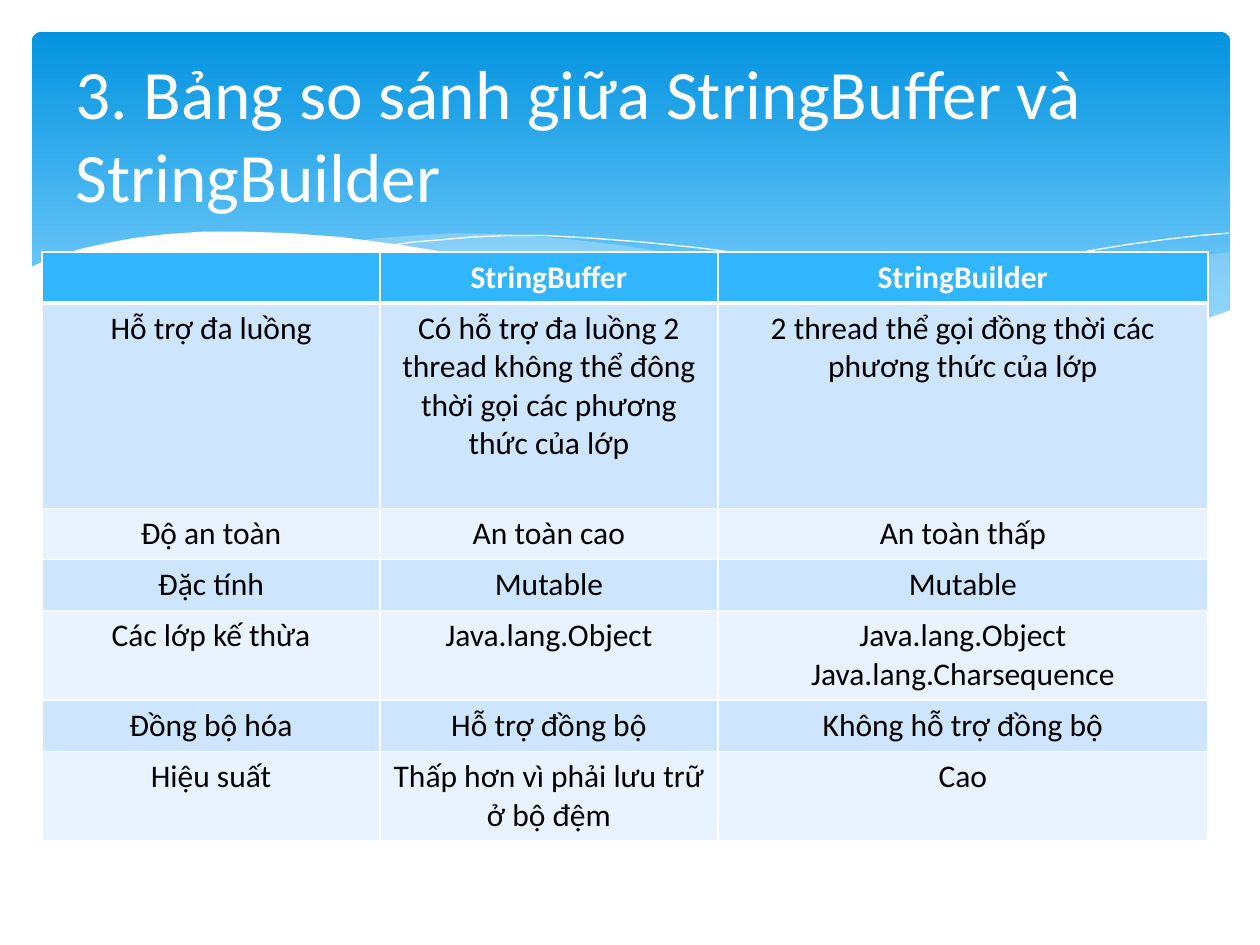
from lxml.etree import SubElement
from pptx import Presentation
from pptx.dml.color import RGBColor as Color
from pptx.enum.shapes import MSO_SHAPE as Preset
from pptx.enum.text import MSO_ANCHOR as Anchor, MSO_AUTO_SIZE as AutoSize, PP_ALIGN as Align
from pptx.oxml.ns import qn
from pptx.util import Cm, Pt

# Content
TITLE = "3. Bảng so sánh giữa StringBuffer và StringBuilder"
ROWS = [
    ("", "StringBuffer", "StringBuilder"),
    ("Hỗ trợ đa luồng",
     "Có hỗ trợ đa luồng 2 thread không thể đông thời gọi các phương thức của lớp",
     "2 thread thể gọi đồng thời các phương thức của lớp"),
    ("Độ an toàn", "An toàn cao", "An toàn thấp"),
    ("Đặc tính", "Mutable", "Mutable"),
    ("Các lớp kế thừa", "Java.lang.Object", "Java.lang.Object\nJava.lang.Charsequence"),
    ("Đồng bộ hóa", "Hỗ trợ đồng bộ", "Không hỗ trợ đồng bộ"),
    ("Hiệu suất", "Thấp hơn vì phải lưu trữ ở bộ đệm", "Cao"),
]
COLUMN_WIDTHS = (6.81, 6.81, 9.88)
ROW_HEIGHTS = (1.03, 4.14, 1.03, 1.03, 1.8, 1.03, 1.8)

THEME = {
    "font": "Calibri", "title_size": 39.6, "cell_size": 18,
    "white": "FFFFFF", "text": "000000",
    "sky_top": "0293E0", "sky_bottom": "83D3FE", "mist": "C6E7FC",
    "header": "31B6FD", "bands": ("CEE5FE", "E8F3FF"),
    "rule": 1, "header_rule": 3,
}

# Wave outlines, in hundredths of a centimetre, back to front
RIGHT_WAVE = [
    (2479, 508), (2443, 513), (2375, 526), (2301, 541), (2187, 566), (2113, 584),
    (1979, 615), (1852, 643), (1679, 673), (1755, 683), (1859, 696), (1953, 704),
    (2040, 706), (2121, 704), (2192, 699), (2258, 691), (2319, 678), (2375, 665),
    (2410, 652), (2446, 640), (2479, 627)]
MIDDLE_WAVE = [
    (2268, 693), (2126, 673), (1969, 645), (1793, 610), (1598, 564), (1519, 544),
    (1445, 528), (1374, 515), (1306, 503), (1242, 493), (1123, 480), (1013, 472),
    (917, 470), (833, 475), (759, 480), (726, 485), (820, 498), (919, 516),
    (1026, 536), (1140, 564), (1247, 589), (1346, 610), (1438, 630), (1527, 648),
    (1610, 663), (1689, 676), (1765, 686), (1834, 693), (1900, 699), (1963, 704),
    (2022, 706), (2078, 706), (2154, 704), (2225, 699)]
LEFT_CREST = [
    (785, 495), (833, 488), (894, 483), (950, 478), (1019, 475), (1100, 475),
    (1191, 480), (1295, 488), (1412, 500), (1544, 518), (1689, 541), (1847, 574),
    (2019, 612), (2111, 638), (2304, 691)]
RIGHT_CREST = [
    (1557, 653), (1659, 625), (1765, 597), (1900, 566), (2047, 533), (2200, 505),
    (2273, 493), (2347, 483), (2416, 475), (2477, 470)]
WHITE_WAVE = [
    (2482, 625), (2388, 658), (2283, 683), (2192, 696), (2055, 704), (1933, 699),
    (1798, 686), (1646, 665), (1471, 635), (1344, 607), (1207, 577), (1062, 541),
    (927, 513), (803, 493), (688, 478), (584, 470), (490, 467), (409, 467),
    (335, 472), (269, 480), (216, 490), (170, 500), (132, 511), (102, 521),
    (74, 533), (58, 541), (58, 836), (2482, 836)]
WAVES = [  # outline, fill colour (None for a crest line), opacity in percent
    (RIGHT_WAVE, "mist", 29), (MIDDLE_WAVE, "mist", 40),
    (LEFT_CREST, None, 100), (RIGHT_CREST, None, 100), (WHITE_WAVE, "white", 100),
]


def color(name):
    return Color.from_string(THEME.get(name, name))


def add_wave(page, points, fill, opacity):
    builder = page.shapes.build_freeform(*points[0], scale=Cm(0.01))
    builder.add_line_segments(points[1:], close=fill is not None)
    wave = builder.convert_to_shape()
    wave.shadow.inherit = False
    if fill is None:
        wave.fill.background()
        wave.line.color.rgb = color("white")
        wave.line.width = Pt(0)
        return
    wave.line.fill.background()
    wave.fill.solid()
    wave.fill.fore_color.rgb = color(fill)
    if opacity < 100:
        tint = wave.element.spPr.find(qn("a:solidFill"))[0]
        SubElement(tint, qn("a:alpha"), val=str(opacity * 1000))


def format_text(frame, align, size, text_color, bold=False):
    formats = {"name": THEME["font"], "size": Pt(size), "bold": bold}
    for para in frame.paragraphs:
        para.alignment = align
        for font in [para.font] + [span.font for span in para.runs]:
            for key, value in formats.items():
                setattr(font, key, value)
            font.color.rgb = color(text_color)


def add_border(cell, side, width):
    line = SubElement(cell._tc.get_or_add_tcPr(), qn("a:ln" + side), w=str(Pt(width)))
    SubElement(SubElement(line, qn("a:solidFill")), qn("a:srgbClr"), val=THEME["white"])


deck = Presentation()
deck.slide_width, deck.slide_height = Cm(25.4), Cm(19.05)
page = deck.slides.add_slide(deck.slide_layouts[5])
page.background.fill.solid()
page.background.fill.fore_color.rgb = color("white")

# Sky panel
sky = page.shapes.add_shape(Preset.ROUNDED_RECTANGLE, Cm(0.64), Cm(0.64), Cm(24.16), Cm(6.86))
sky.adjustments[0] = 0.03
sky.shadow.inherit = False
sky.line.fill.background()
sky.fill.gradient()
sky.fill.gradient_angle = 270
for stop, name, position in zip(sky.fill.gradient_stops, ("sky_top", "sky_bottom"), (0, 0.9)):
    stop.color.rgb = color(name)
    stop.position = position

# Waves
for wave in WAVES:
    add_wave(page, *wave)

# Title, brought in front of the panel
title = page.shapes.title
title.element.getparent().append(title.element)
title.left, title.top, title.width, title.height = Cm(1.27), Cm(0.94), Cm(22.86), Cm(3.48)
title.text_frame.text = TITLE
title.text_frame.vertical_anchor = Anchor.MIDDLE
title.text_frame.word_wrap = True
title.text_frame.auto_size = AutoSize.NONE
format_text(title.text_frame, Align.LEFT, THEME["title_size"], "white")

# Comparison table
table = page.shapes.add_table(len(ROWS), len(COLUMN_WIDTHS), Cm(0.85), Cm(5.08),
                              Cm(sum(COLUMN_WIDTHS)), Cm(sum(ROW_HEIGHTS))).table
for column, width in zip(table.columns, COLUMN_WIDTHS):
    column.width = Cm(width)
for row, height in zip(table.rows, ROW_HEIGHTS):
    row.height = Cm(height)
for r, texts in enumerate(ROWS):
    header = r == 0
    fill = THEME["header"] if header else THEME["bands"][(r - 1) % 2]
    rules = {"L": "rule", "R": "rule",
             "T": "header_rule" if r == 1 else "rule",
             "B": "header_rule" if header else "rule"}
    for c, text in enumerate(texts):
        cell = table.cell(r, c)
        cell.text = text
        format_text(cell.text_frame, Align.CENTER, THEME["cell_size"],
                    "white" if header else "text", header)
        for side, rule in rules.items():
            add_border(cell, side, THEME[rule])
        cell.fill.solid()
        cell.fill.fore_color.rgb = color(fill)

deck.save("out.pptx")
